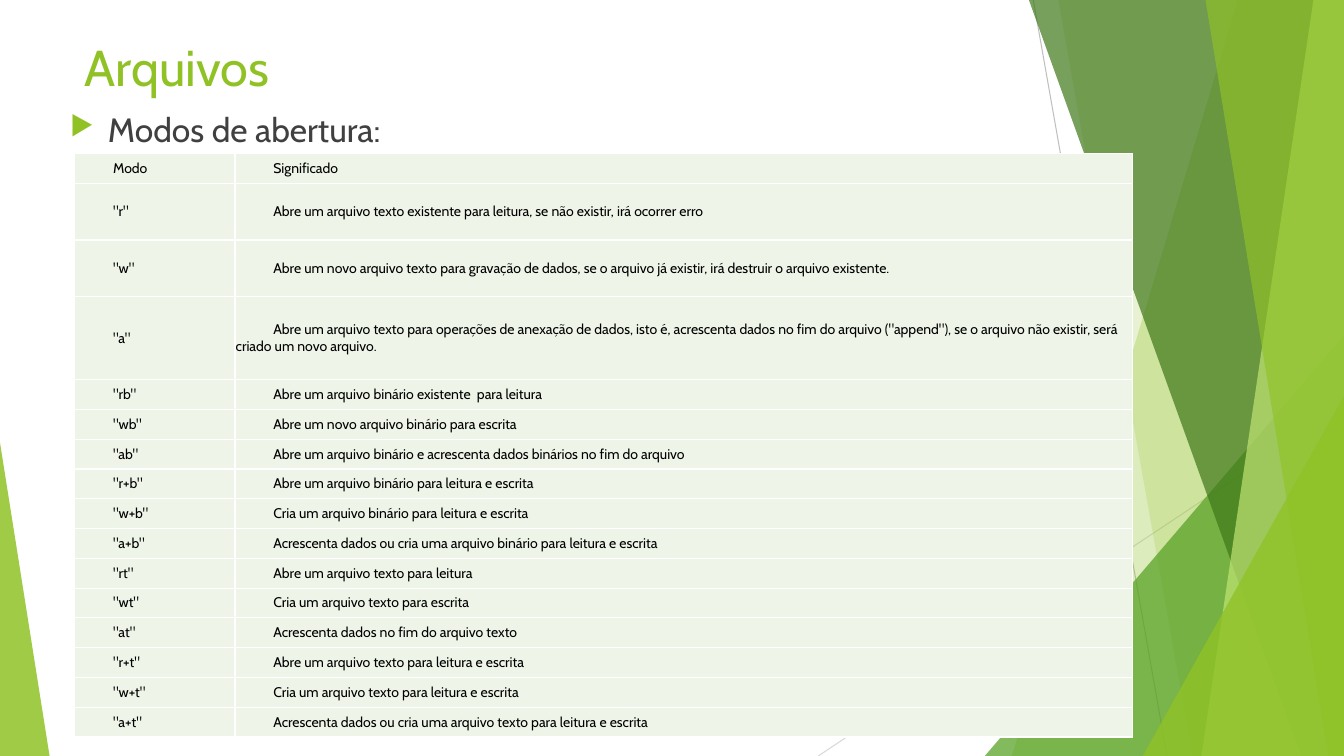
from lxml.etree import SubElement
from pptx import Presentation
from pptx.dml.color import RGBColor
from pptx.enum.shapes import MSO_CONNECTOR, MSO_SHAPE
from pptx.enum.text import MSO_ANCHOR, MSO_AUTO_SIZE, PP_ALIGN
from pptx.oxml import parse_xml
from pptx.oxml.ns import nsdecls, qn
from pptx.util import Cm, Pt

WIDTH, HEIGHT = 33.87, 19.05
FONT = "Cabin"
COLORS = {
    "lime": "90C226",
    "green": "54A021",
    "forest": "3F7819",
    "pale": "C0E474",
    "gray": "BFBFBF",
    "light_gray": "D9D9D9",
    "text": "404040",
    "black": "000000",
    "white": "FFFFFF",
    "cell": "EEF4E8",
}
GUIDE_LINES = [
    (26.04, 0, 29.41, HEIGHT, "gray"),
    (WIDTH, 10.24, 20.62, HEIGHT, "light_gray"),
]
BACK_BANDS = [(31.19, 25.5, "lime", 30), (26.67, 30.05, "lime", 20)]
FRONT_BANDS = [
    (25.93, 32.79, "forest", 70),
    (33.1, 30.28, "pale", 70),
    (30.38, 33.48, "lime", 65),
]
MODES = [
    ("Modo", "Significado"),
    ('"r"', "Abre um arquivo texto existente para leitura, se não existir, irá ocorrer erro"),
    ('"w"', "Abre um novo arquivo texto para gravação de dados, se o arquivo já existir, "
            "irá destruir o arquivo existente."),
    ('"a"', "Abre um arquivo texto para operações de anexação de dados, isto é, acrescenta "
            'dados no fim do arquivo ("append"), se o arquivo não existir, será criado um novo arquivo.'),
    ('"rb"', "Abre um arquivo binário existente  para leitura"),
    ('"wb"', "Abre um novo arquivo binário para escrita"),
    ('"ab"', "Abre um arquivo binário e acrescenta dados binários no fim do arquivo"),
    ('"r+b"', "Abre um arquivo binário para leitura e escrita"),
    ('"w+b"', "Cria um arquivo binário para leitura e escrita"),
    ('"a+b"', "Acrescenta dados ou cria uma arquivo binário para leitura e escrita"),
    ('"rt"', "Abre um arquivo texto para leitura"),
    ('"wt"', "Cria um arquivo texto para escrita"),
    ('"at"', "Acrescenta dados no fim do arquivo texto"),
    ('"r+t"', "Abre um arquivo texto para leitura e escrita"),
    ('"w+t"', "Cria um arquivo texto para leitura e escrita"),
    ('"a+t"', "Acrescenta dados ou cria uma arquivo texto para leitura e escrita"),
]
COLUMN_WIDTHS = [4.04, 22.61]
ROW_HEIGHT = 0.75
TALL_ROWS = {1: 1.43, 2: 1.43, 3: 2.09}


def rgb(name):
    return RGBColor.from_string(COLORS[name])


def write_text(frame, text, size, color, anchor=MSO_ANCHOR.TOP, margin=0, indent=0, before=0):
    frame.word_wrap = True
    frame.vertical_anchor = anchor
    paragraph = frame.paragraphs[0]
    paragraph.alignment = PP_ALIGN.LEFT
    paragraph.space_before = Pt(before)
    properties = paragraph._p.get_or_add_pPr()
    properties.set("marL", str(Cm(margin)))
    properties.set("indent", str(Cm(indent)))
    run = paragraph.add_run()
    run.text = text
    run.font.name = FONT
    run.font.size = Pt(size)
    run.font.bold = False
    run.font.color.rgb = rgb(color)
    return paragraph


def add_guide_line(slide, x1, y1, x2, y2, color):
    line = slide.shapes.add_connector(MSO_CONNECTOR.STRAIGHT, Cm(x1), Cm(y1), Cm(x2), Cm(y2))
    line.line.color.rgb = rgb(color)
    line.line.width = Pt(0.75)
    SubElement(line._element.spPr, qn("a:effectLst"))


def paint(shape, color, opacity):
    shape.shadow.inherit = False
    shape.fill.solid()
    shape.fill.fore_color.rgb = rgb(color)
    shape.line.fill.background()
    color_element = shape._element.spPr.find(qn("a:solidFill"))[0]
    SubElement(color_element, qn("a:alpha")).set("val", str(opacity * 1000))


def add_band(slide, top_x, bottom_x, color, opacity):
    builder = slide.shapes.build_freeform(Cm(top_x), 0)
    corners = [(WIDTH, 0), (WIDTH, HEIGHT), (bottom_x, HEIGHT)]
    builder.add_line_segments([(Cm(x), Cm(y)) for x, y in corners], close=True)
    paint(builder.convert_to_shape(), color, opacity)


def add_corner_triangle(slide, left, top, width, apex, color, opacity):
    shape = slide.shapes.add_shape(
        MSO_SHAPE.ISOSCELES_TRIANGLE, Cm(left), Cm(top), Cm(width), Cm(HEIGHT - top))
    shape.adjustments[0] = apex
    paint(shape, color, opacity)


def add_background(slide):
    for guide in GUIDE_LINES:
        add_guide_line(slide, *guide)
    for band in BACK_BANDS:
        add_band(slide, *band)
    add_corner_triangle(slide, 24.82, 8.46, WIDTH - 24.82, 1, "green", 72)
    for band in FRONT_BANDS:
        add_band(slide, *band)
    add_corner_triangle(slide, 28.8, 9.98, WIDTH - 28.8, 1, "lime", 80)
    add_corner_triangle(slide, 0, 11.15, 1.25, 0, "lime", 85)


def add_title(slide, text):
    title = slide.shapes.title
    title.left, title.top, title.width, title.height = Cm(1.88), Cm(0.79), Cm(23.88), Cm(3.66)
    title.text_frame.auto_size = MSO_AUTO_SIZE.NONE
    write_text(title.text_frame, text, size=36, color="lime")
    slide.shapes.element.append(title.element)


def add_bullet_text(slide, text):
    box = slide.shapes.add_textbox(Cm(1.52), Cm(2.62), Cm(23.88), Cm(11.84))
    paragraph = write_text(box.text_frame, text, size=24, color="text",
                           margin=0.95, indent=-0.95, before=10)
    properties = paragraph._p.get_or_add_pPr()
    bullet_color = SubElement(properties, qn("a:buClr"))
    SubElement(bullet_color, qn("a:srgbClr")).set("val", COLORS["lime"])
    SubElement(properties, qn("a:buSzPct")).set("val", "80000")
    SubElement(properties, qn("a:buChar")).set("char", "▶")


def add_borders(cell):
    properties = cell._tc.get_or_add_tcPr()
    for position, side in enumerate("LRTB"):
        properties.insert(position, parse_xml(
            f'<a:ln{side} {nsdecls("a")} w="{Pt(1)}"><a:solidFill>'
            f'<a:srgbClr val="{COLORS["white"]}"/></a:solidFill></a:ln{side}>'))


def add_modes_table(slide):
    heights = [TALL_ROWS.get(index, ROW_HEIGHT) for index in range(len(MODES))]
    table = slide.shapes.add_table(
        len(MODES), len(COLUMN_WIDTHS), Cm(1.88), Cm(3.87),
        Cm(sum(COLUMN_WIDTHS)), Cm(sum(heights))).table
    table.first_row = False
    table.horz_banding = False
    for column, width in zip(table.columns, COLUMN_WIDTHS):
        column.width = Cm(width)
    for row, height, texts in zip(table.rows, heights, MODES):
        row.height = Cm(height)
        for cell, text in zip(row.cells, texts):
            cell.margin_left = cell.margin_right = Cm(0.02)
            cell.margin_top = cell.margin_bottom = Cm(0.02)
            cell.vertical_anchor = MSO_ANCHOR.MIDDLE
            cell.fill.solid()
            cell.fill.fore_color.rgb = rgb("cell")
            add_borders(cell)
            write_text(cell.text_frame, text, size=10, color="black",
                       anchor=None, indent=0.95)


def main():
    presentation = Presentation()
    presentation.slide_width = Cm(WIDTH)
    presentation.slide_height = Cm(HEIGHT)
    slide = presentation.slides.add_slide(presentation.slide_layouts[5])
    add_background(slide)
    add_title(slide, "Arquivos")
    add_bullet_text(slide, "Modos de abertura:")
    add_modes_table(slide)
    presentation.save("out.pptx")


if __name__ == "__main__":
    main()
